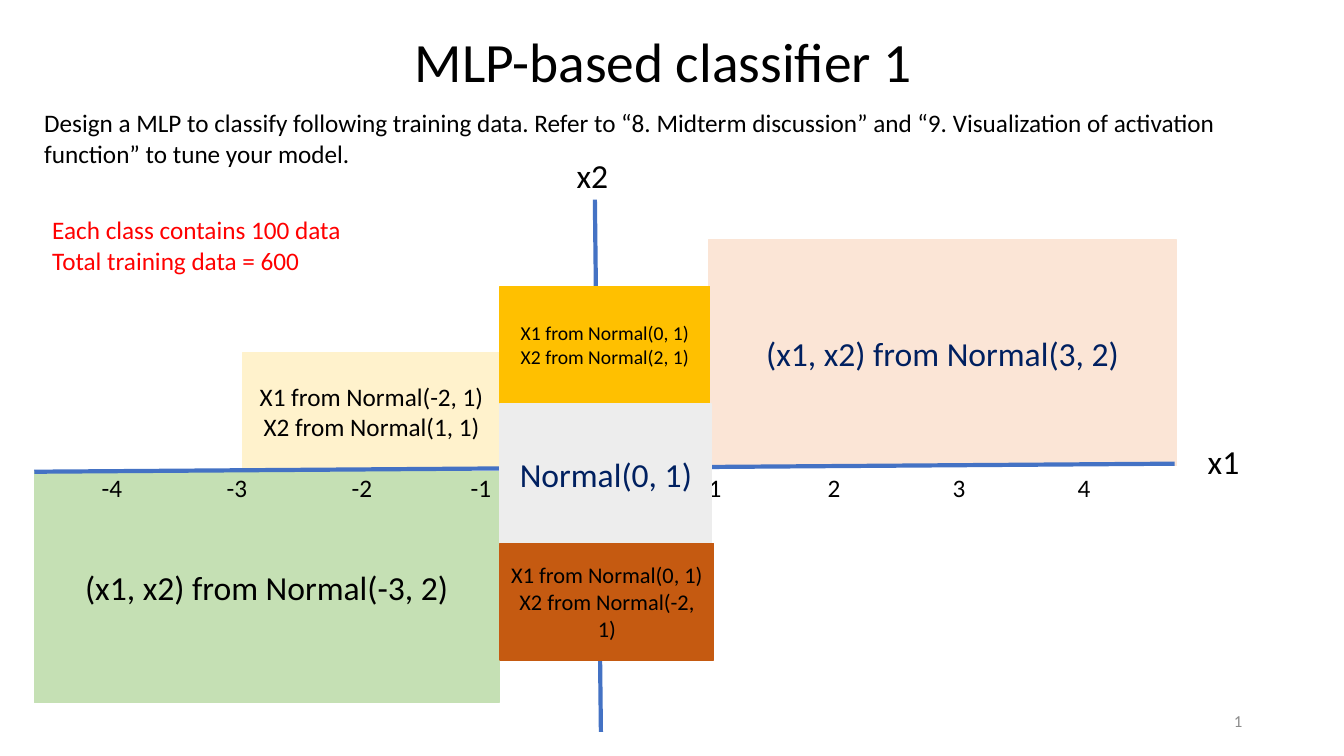
"""Build the slide that lays out six training classes for an MLP classifier."""
from lxml.etree import SubElement
from pptx import Presentation
from pptx.dml.color import RGBColor
from pptx.enum.shapes import MSO_CONNECTOR as Connector, MSO_SHAPE as Preset
from pptx.enum.text import MSO_ANCHOR as Anchor, MSO_AUTO_SIZE as AutoSize, PP_ALIGN as Align
from pptx.oxml.ns import qn
from pptx.util import Pt

EMU_PER_PX = 9144
SLIDE_SIZE = (1333, 750)
FONT = "Calibri"
COLORS = {
    "black": "000000", "navy": "002060", "red": "FF0000", "gray": "8C8C8C",
    "axis": "4472C4", "green": "C5E0B4", "peach": "FBE5D6", "cream": "FFF2CC",
    "gold": "FFC000", "silver": "EDEDED", "rust": "C55A11",
}

TITLE = ("MLP-based classifier 1", (83, 28, 1150, 72), 39.6)
TEXTS = [
    ("Design a MLP to classify following training data. Refer to “8. Midterm discussion” "
     "and “9. Visualization of activation function” to tune your model.",
     (34, 102, 1267, 71), 18, "black"),
    ("Each class contains 100 data\nTotal training data = 600", (42, 208, 347, 71), 18, "red"),
    ("x1", (1188, 433, 79, 50), 24, "black"),
    ("x2", (562, 149, 79, 50), 24, "black"),
]
OUTER_CLASSES = [
    ("(x1, x2) from Normal(-3, 2)", (34, 468, 461, 229), "green", 24, "black"),
    ("(x1, x2) from Normal(3, 2)", (703, 238, 464, 224), "peach", 24, "navy"),
    ("X1 from Normal(-2, 1)\nX2 from Normal(1, 1)", (241, 350, 255, 116), "cream", 18, "black"),
]
CENTER_CLASSES = [
    ("X1 from Normal(0, 1)\nX2 from Normal(2, 1)", (496, 284, 208, 116), "gold", 14, "black"),
    ("Normal(0, 1)", (496, 401, 210, 138), "silver", 24, "navy"),
    ("X1 from Normal(0, 1)\nX2 from Normal(-2, 1)", (496, 539, 212, 116), "rust", 16, "black"),
]
AXES = [(34, 468, 1165, 460), (590, 198, 596, 726)]
TICK_CENTER, TICK_TOP, TICK_SIZE = 575, 464, (47, 40)
TICK_OFFSETS = {1: 118, 2: 236, 3: 360, 4: 484}
NUMBER_BOX = (942, 695, 300, 40)


def px(*lengths):
    return [length * EMU_PER_PX for length in lengths]


def rgb(name):
    return RGBColor.from_string(COLORS[name])


def style_font(font, size, color):
    font.name, font.size = FONT, Pt(size)
    font.color.rgb = rgb(color)


def write(shape, text, size, color, align=Align.LEFT):
    shape.text_frame.word_wrap = True
    shape.text_frame.text = text
    for paragraph in shape.text_frame.paragraphs:
        paragraph.alignment = align
        for run in paragraph.runs:
            style_font(run.font, size, color)


def add_text(slide, text, box, size, color):
    write(slide.shapes.add_textbox(*px(*box)), text, size, color)


def add_class(slide, text, box, fill, size, color):
    shape = slide.shapes.add_shape(Preset.RECTANGLE, *px(*box))
    shape.shadow.inherit = False
    shape.fill.solid()
    shape.fill.fore_color.rgb = rgb(fill)
    shape.line.color.rgb = rgb(fill)
    shape.line.width = Pt(1)
    shape.text_frame.vertical_anchor = Anchor.MIDDLE
    write(shape, text, size, color, Align.CENTER)


def add_axis(slide, ends):
    axis = slide.shapes.add_connector(Connector.STRAIGHT, *px(*ends))
    axis.line.color.rgb = rgb("axis")
    axis.line.width = Pt(3)
    SubElement(axis._element.spPr, qn("a:effectLst"))


def add_title(slide):
    text, box, size = TITLE
    title = slide.shapes.title
    title.left, title.top, title.width, title.height = px(*box)
    write(title, text, size, "black", Align.CENTER)
    title.text_frame.auto_size = AutoSize.NONE
    title.text_frame.vertical_anchor = Anchor.MIDDLE
    title.text_frame.paragraphs[0].line_spacing = 0.9


def add_slide_number(slide):
    number = slide.shapes.add_textbox(*px(*NUMBER_BOX))
    number.text_frame.vertical_anchor = Anchor.MIDDLE
    write(number, "1", 12, "gray", Align.RIGHT)
    run = number.text_frame.paragraphs[0].runs[0]._r
    run.tag = qn("a:fld")
    run.set("id", "{B6F15528-21DE-4FAA-801E-634DDDAF4B2B}")
    run.set("type", "slidenum")


def main():
    presentation = Presentation()
    presentation.slide_width, presentation.slide_height = px(*SLIDE_SIZE)
    slide = presentation.slides.add_slide(presentation.slide_layouts[5])
    add_title(slide)
    add_slide_number(slide)
    for item in OUTER_CLASSES:
        add_class(slide, *item)
    for ends in AXES:
        add_axis(slide, ends)
    for item in TEXTS:
        add_text(slide, *item)
    for value, offset in TICK_OFFSETS.items():
        for sign in (-1, 1):
            box = (TICK_CENTER + sign * offset, TICK_TOP, *TICK_SIZE)
            add_text(slide, str(sign * value), box, 18, "black")
    for item in CENTER_CLASSES:
        add_class(slide, *item)
    presentation.save("out.pptx")


if __name__ == "__main__":
    main()
